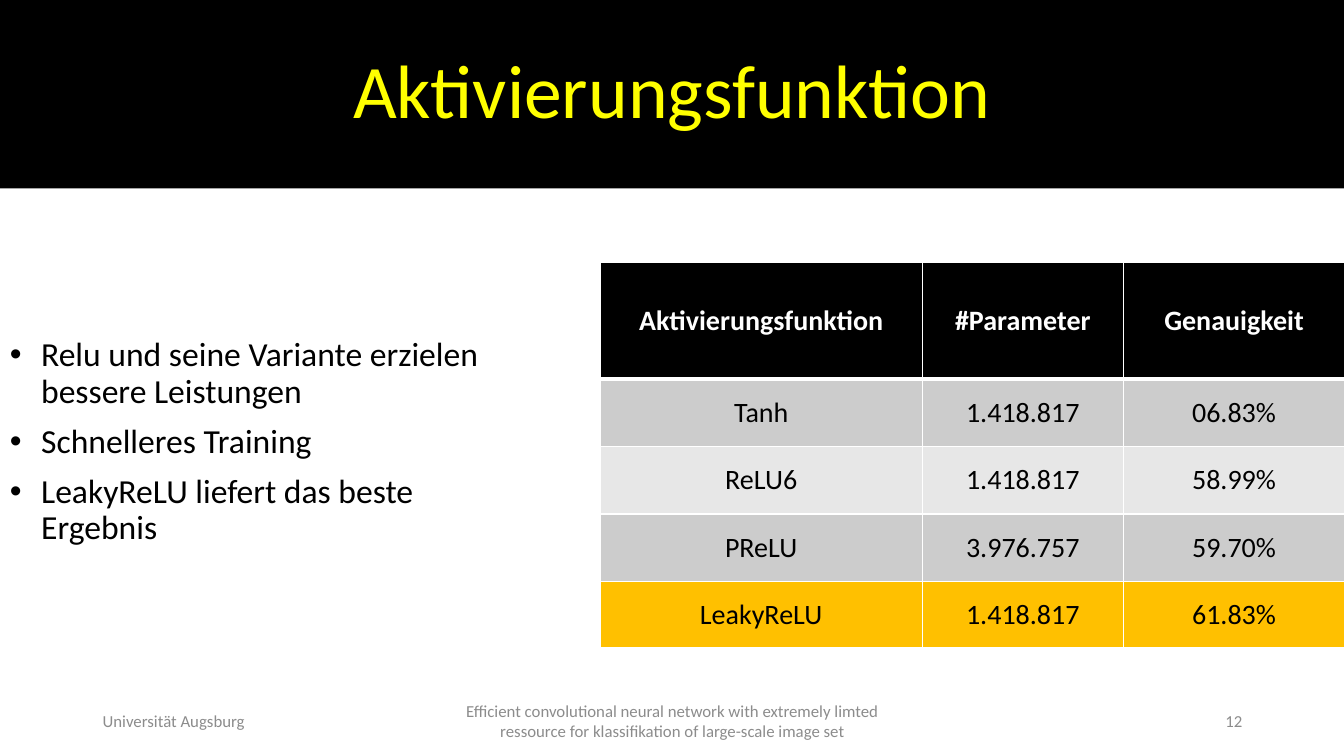
from lxml import etree
from pptx import Presentation
from pptx.dml.color import RGBColor
from pptx.enum.text import MSO_ANCHOR, MSO_AUTO_SIZE, PP_ALIGN
from pptx.oxml.ns import qn
from pptx.util import Inches, Pt

LEFT, CENTER, RIGHT = PP_ALIGN.LEFT, PP_ALIGN.CENTER, PP_ALIGN.RIGHT
MIDDLE = MSO_ANCHOR.MIDDLE
NO_FIT = MSO_AUTO_SIZE.NONE

TITLE_ONLY = 5
BLACK, WHITE, YELLOW = "000000", "FFFFFF", "FFFF00"
GREY, DARK_ROW, LIGHT_ROW, BEST_ROW = "8C8C8C", "CCCCCC", "E7E7E7", "FFC000"


def rgb(value):
    return RGBColor.from_string(value)


class Deck:
    font = "Calibri"

    def __init__(self, width, height):
        self.prs = Presentation()
        self.prs.slide_width = Inches(width)
        self.prs.slide_height = Inches(height)
        self.s = self.prs.slides.add_slide(self.prs.slide_layouts[TITLE_ONLY])

    def run(self, p, text, size, color, bold=False):
        r = p.add_run()
        r.text = text
        r.font.name, r.font.size, r.font.bold = self.font, Pt(size), bold
        r.font.color.rgb = rgb(color)

    def frame(self, sp):
        tf = sp.text_frame
        tf.word_wrap = True
        tf.auto_size = NO_FIT
        tf.vertical_anchor = MIDDLE
        return tf

    def title(self, text, left, top, width, height):
        sp = self.s.shapes.title
        sp.left, sp.top = Inches(left), Inches(top)
        sp.width, sp.height = Inches(width), Inches(height)
        sp.fill.solid()
        sp.fill.fore_color.rgb = rgb(BLACK)
        p = self.frame(sp).paragraphs[0]
        p.alignment, p.line_spacing = CENTER, 0.9
        self.run(p, text, 54, YELLOW)

    def box(self, left, top, width, height):
        sp = self.s.shapes.add_textbox(Inches(left), Inches(top), Inches(width), Inches(height))
        return self.frame(sp)

    def label(self, text, left, top, width, height, align):
        p = self.box(left, top, width, height).paragraphs[0]
        p.alignment = align
        self.run(p, text, 12, GREY)

    def bullets(self, items, left, top, width, height):
        tf = self.box(left, top, width, height)
        tf.margin_bottom = Inches(0.29)
        for i, item in enumerate(items):
            p = tf.add_paragraph() if i else tf.paragraphs[0]
            pPr = p._p.get_or_add_pPr()
            pPr.set("marL", str(Inches(0.31)))
            pPr.set("indent", str(-Inches(0.31)))
            etree.SubElement(pPr, qn("a:buFont")).set("typeface", "Arial")
            etree.SubElement(pPr, qn("a:buChar")).set("char", "•")
            p.line_spacing = 0.9
            p.space_before = Pt(10 if i else 0)
            self.run(p, item, 24, BLACK)

    def borders(self, cell, top, bottom):
        tcPr = cell._tc.get_or_add_tcPr()
        sides = (("L", 1), ("R", 1), ("T", top), ("B", bottom))
        for i, (side, width) in enumerate(sides):
            ln = etree.Element(qn(f"a:ln{side}"), w=str(Pt(width)))
            fill = etree.SubElement(ln, qn("a:solidFill"))
            etree.SubElement(fill, qn("a:srgbClr")).set("val", WHITE)
            tcPr.insert(i, ln)

    def table(self, rows, fills, left, top, widths, heights):
        sp = self.s.shapes.add_table(len(rows), len(widths), Inches(left), Inches(top),
                                     Inches(sum(widths)), Inches(sum(heights)))
        table = sp.table
        for column, width in zip(table.columns, widths):
            column.width = Inches(width)
        for i, (row, fill, height) in enumerate(zip(rows, fills, heights)):
            table.rows[i].height = Inches(height)
            header = i == 0
            for j, text in enumerate(row):
                cell = table.cell(i, j)
                cell.fill.solid()
                cell.fill.fore_color.rgb = rgb(fill)
                cell.vertical_anchor = MIDDLE
                cell.margin_left = cell.margin_right = Inches(0.31)
                cell.margin_top = cell.margin_bottom = Inches(0.09)
                self.borders(cell, top=3 if i == 1 else 1, bottom=3 if header else 1)
                p = cell.text_frame.paragraphs[0]
                p.alignment = CENTER
                self.run(p, text, 20, WHITE if header else BLACK, header)


def main():
    deck = Deck(13.33, 7.5)

    # Title band
    deck.title("Aktivierungsfunktion", 0, 0, 13.33, 1.87)

    # Results table
    rows = [
        ("Aktivierungsfunktion", "#Parameter", "Genauigkeit"),
        ("Tanh", "1.418.817", "06.83%"),
        ("ReLU6", "1.418.817", "58.99%"),
        ("PReLU", "3.976.757", "59.70%"),
        ("LeakyReLU", "1.418.817", "61.83%"),
    ]
    fills = [BLACK, DARK_ROW, LIGHT_ROW, DARK_ROW, BEST_ROW]
    deck.table(rows, fills, 5.95, 2.6, [3.2, 1.99, 2.2], [1.16, 0.67, 0.67, 0.67, 0.66])

    # Findings
    deck.bullets([
        "Relu und seine Variante erzielen bessere Leistungen",
        "Schnelleres Training",
        "LeakyReLU liefert das beste Ergebnis",
    ], 0, 2.6, 5.41, 3.82)

    # Footer
    deck.label("Universität Augsburg", 0.92, 6.95, 3, 0.4, LEFT)
    deck.label("Efficient convolutional neural network with extremely limted ressource "
               "for klassifikation of large-scale image set", 4.42, 6.95, 4.5, 0.4, CENTER)
    deck.label("12", 9.42, 6.95, 3, 0.4, RIGHT)

    deck.prs.save("out.pptx")


if __name__ == "__main__":
    main()
